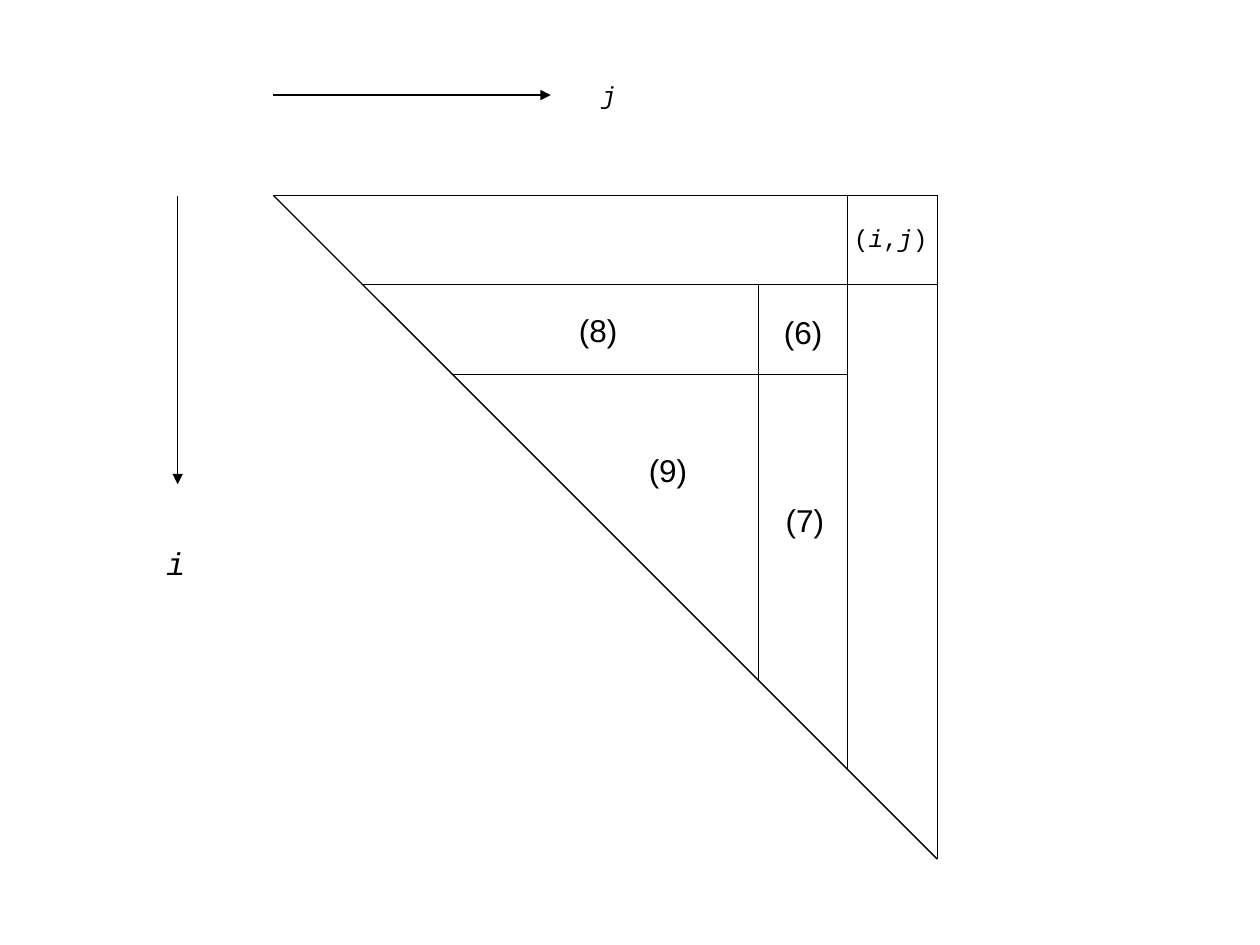
from dataclasses import dataclass

from lxml import etree
from pptx import Presentation
from pptx import util as u
from pptx.dml.color import RGBColor
from pptx.enum import shapes, text
from pptx.oxml.ns import qn

# Grid of square cells, counted from the triangle's top-left corner
LEFT, TOP, CELL = 2.17, 1.55, 0.71
SIDE = 7.42
BLACK = "000000"


@dataclass
class Line:
    start: tuple[float, float]  # column, row
    end: tuple[float, float]
    arrow: bool = False


@dataclass
class Label:
    words: str
    centre: tuple[float, float]  # column, row
    size: tuple[float, float] = (0.74, 0.56)  # columns, rows
    font: str = "Arial"
    points: int = 18


OUTLINE = [
    Line((0, 0), (SIDE, SIDE)),
    Line((SIDE, 0), (0, 0)),
    Line((SIDE, 0), (SIDE, SIDE)),
]
# Each divider runs from the edge of a cell to the diagonal
DIVIDERS = [
    Line((SIDE, 1), (1, 1)),
    Line((SIDE - 1, 0), (SIDE - 1, SIDE - 1)),
    Line((SIDE - 2, 1), (SIDE - 2, SIDE - 2)),
    Line((SIDE - 1, 2), (2, 2)),
]
AXES = [
    Line((0, -1.12), (3.1, -1.12), arrow=True),
    Line((-1.07, 0.01), (-1.07, 3.23), arrow=True),
]
LABELS = [
    Label("(i,j)", (6.9, 0.48), (1.14, 0.48), "Courier New", 14),
    Label("(9)", (4.41, 3.07)),
    Label("(8)", (3.63, 1.51)),
    Label("(7)", (5.94, 3.63)),
    Label("(6)", (5.92, 1.53)),
    Label("j", (3.75, -1.12), (0.46, 0.48), "Courier New", 14),
    Label("i", (-1.09, 4.11), (0.52, 0.56), "Courier New", 18),
]


def colour(value: str) -> RGBColor:
    return RGBColor.from_string(value)


def grid_point(column: float, row: float) -> tuple[int, int]:
    return u.Inches(LEFT + column * CELL), u.Inches(TOP + row * CELL)


def set_format(target, values: dict) -> None:
    for name, value in values.items():
        setattr(target, name, value)


def draw_line(collection, line: Line) -> None:
    connector = collection.add_connector(
        shapes.MSO_CONNECTOR.STRAIGHT, *grid_point(*line.start), *grid_point(*line.end))
    connector.line.width = u.Pt(0.75)
    connector.line.color.rgb = colour(BLACK)
    if line.arrow:
        etree.SubElement(connector.line._get_or_add_ln(), qn("a:tailEnd"), type="triangle")
    etree.SubElement(connector._element.spPr, qn("a:effectLst"))


def draw_label(collection, label: Label) -> None:
    (column, row), (columns, rows) = label.centre, label.size
    box = collection.add_textbox(
        *grid_point(column - columns / 2, row - rows / 2),
        u.Inches(columns * CELL), u.Inches(rows * CELL))
    set_format(box.text_frame, {
        "word_wrap": False, "auto_size": text.MSO_AUTO_SIZE.SHAPE_TO_FIT_TEXT})
    paragraph = box.text_frame.paragraphs[0]
    paragraph.alignment = text.PP_ALIGN.CENTER
    # Index letters are italic, so each character is a run when they occur
    has_index = any(letter.isalpha() for letter in label.words)
    for part in label.words if has_index else [label.words]:
        run = paragraph.add_run()
        run.text = part
        set_format(run.font, {
            "name": label.font, "size": u.Pt(label.points), "italic": part.isalpha()})
        run.font.color.rgb = colour(BLACK)


def main() -> None:
    presentation = Presentation()
    set_format(presentation, {"slide_width": u.Inches(10), "slide_height": u.Inches(7.5)})
    slide = presentation.slides.add_slide(presentation.slide_layouts[6])

    # Triangle outline, kept together as one group
    triangle = slide.shapes.add_group_shape()
    for line in OUTLINE:
        draw_line(triangle.shapes, line)

    # Block dividers and index directions
    for line in DIVIDERS + AXES:
        draw_line(slide.shapes, line)

    # Block numbers and index names
    for label in LABELS:
        draw_label(slide.shapes, label)

    presentation.save("out.pptx")


if __name__ == "__main__":
    main()
